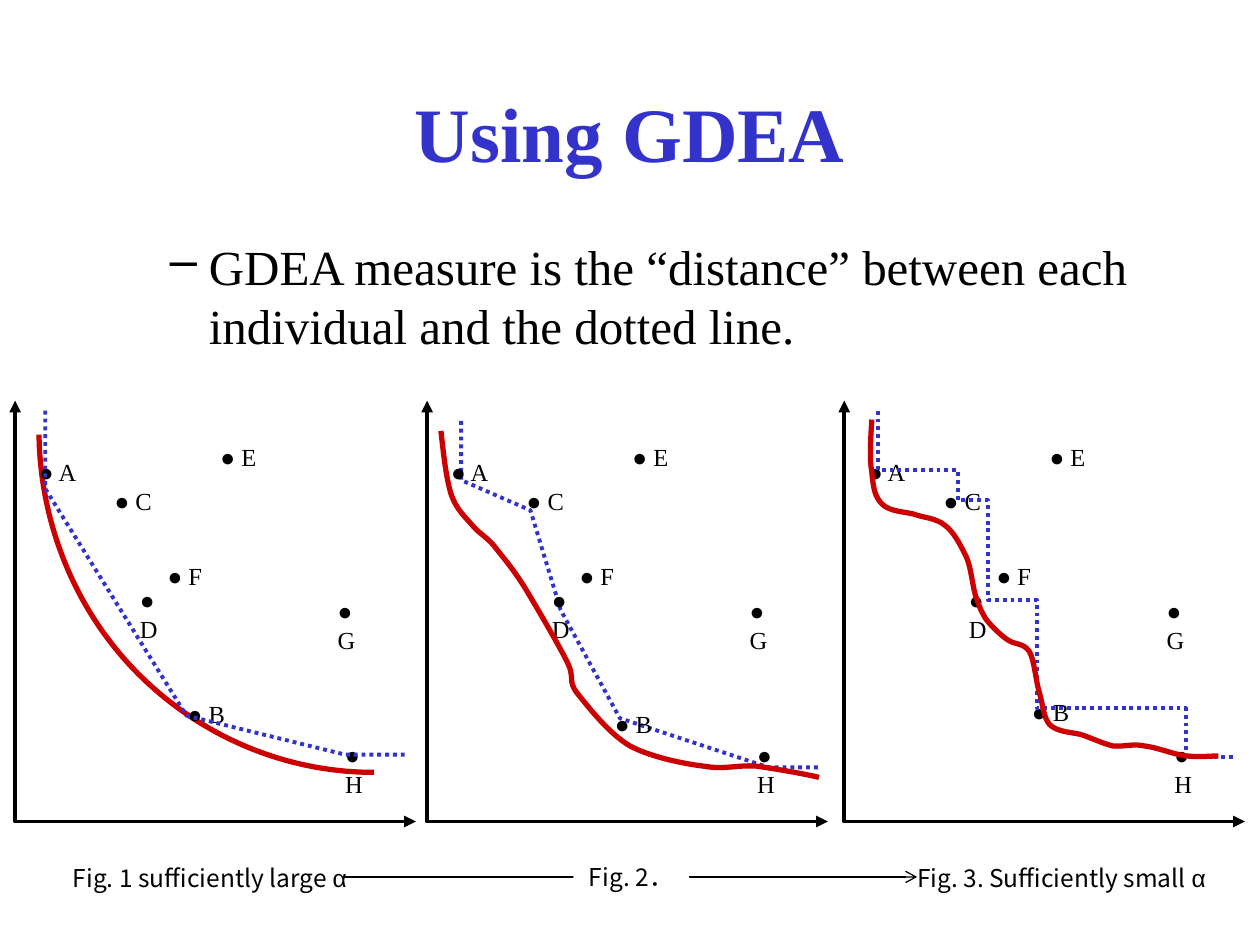
import lxml.etree
import pptx
import pptx.dml.color
import pptx.enum.dml
import pptx.enum.shapes
import pptx.enum.text
import pptx.oxml.ns
import pptx.util

Inches, Pt = pptx.util.Inches, pptx.util.Pt
qn = pptx.oxml.ns.qn
ALIGN = pptx.enum.text.PP_ALIGN
FIT = pptx.enum.text.MSO_AUTO_SIZE
COLORS = {"black": "000000", "blue": "3333CC", "red": "CC0000", "white": "FFFFFF"}
SERIF, SANS, GREEK = "Times New Roman", "Noto Sans CJK JP", "Arial"

TITLE = "Using GDEA"
STATEMENT = "GDEA measure is the “distance” between each individual and the dotted line."
AXIS_TOP, AXIS_HEIGHT, AXIS_WIDTH = 3.18, 3.34, 3.18
POINTS = {"C": (0.79, 0.68), "A": (0.19, 0.45), "E": (1.63, 0.33), "F": (1.21, 1.27),
          "G": (2.56, 1.55), "D": (0.99, 1.46), "H": (2.62, 2.69)}
FIGURES = [
    {"left": 0.12, "B": (1.37, 2.37),
     "layers": ("curve", "axes", "points", "frontier"),
     "frontier": [(0.36, 3.26), (0.36, 3.88), (1.48, 5.68), (2.74, 5.99), (3.23, 5.99)],
     "curve": [(2.97, 6.13), (2.27, 6.13), (1.6, 5.85), (1.1, 5.35),
               (0.6, 4.85), (0.32, 4.16), (0.31, 3.45)]},
    {"left": 3.39, "B": (1.49, 2.45),
     "layers": ("axes", "frontier", "points", "curve"),
     "frontier": [(3.66, 3.34), (3.66, 3.81), (4.21, 4.05), (4.45, 4.84),
                  (4.92, 5.7), (6.1, 6.09), (6.5, 6.09)],
     "curve": [(3.5, 3.42), (3.52, 3.6), (3.54, 3.79), (3.58, 3.92),
               (3.62, 4.04), (3.69, 4.1), (3.75, 4.17), (3.81, 4.24), (3.85, 4.25), (3.92, 4.33),
               (3.99, 4.42), (4.07, 4.51), (4.17, 4.67), (4.26, 4.82), (4.43, 5.11), (4.5, 5.25),
               (4.57, 5.39), (4.5, 5.39), (4.58, 5.5), (4.67, 5.61), (4.83, 5.82), (5, 5.92),
               (5.17, 6.01), (5.42, 6.06), (5.58, 6.08), (5.75, 6.11), (5.85, 6.07), (6, 6.08),
               (6.15, 6.1), (6.43, 6.15), (6.5, 6.17)]},
    {"left": 6.7, "B": (1.49, 2.35),
     "layers": ("axes", "points", "frontier", "curve"),
     "frontier": [(6.97, 3.26), (6.97, 3.73), (7.6, 3.73), (7.6, 3.97), (7.84, 3.97), (7.84, 4.76),
                  (8.23, 4.76), (8.23, 5.62), (9.41, 5.62), (9.41, 6.01), (9.8, 6.01)],
     "curve": [(6.92, 3.33), (6.91, 3.49), (6.9, 3.64), (6.92, 3.75),
               (6.93, 3.86), (6.94, 3.94), (7, 4), (7.06, 4.06), (7.17, 4.06), (7.25, 4.08),
               (7.33, 4.11), (7.43, 4.11), (7.5, 4.17), (7.57, 4.22), (7.62, 4.32), (7.67, 4.42),
               (7.71, 4.51), (7.72, 4.67), (7.75, 4.75), (7.78, 4.83), (7.79, 4.86), (7.83, 4.92),
               (7.87, 4.97), (7.94, 5.04), (8, 5.08), (8.06, 5.12), (8.12, 5.1), (8.17, 5.17),
               (8.21, 5.24), (8.22, 5.4), (8.25, 5.5), (8.28, 5.6), (8.28, 5.69), (8.33, 5.75),
               (8.39, 5.81), (8.5, 5.81), (8.58, 5.83), (8.67, 5.86), (8.75, 5.9), (8.83, 5.92),
               (8.92, 5.93), (8.99, 5.9), (9.08, 5.92), (9.18, 5.93), (9.32, 5.99), (9.42, 6),
               (9.51, 6.01), (9.62, 6), (9.67, 6)]},
]
CAPTIONS = [
    ((0.48, 6.8, 2.42, 0.34), [("Fig. 1 sufficiently large ", SANS), ("α", GREEK)], ALIGN.LEFT),
    ((4.55, 6.79, 0.92, 0.34), [("Fig. 2．", SANS)], ALIGN.CENTER),
    ((7.18, 6.8, 2.5, 0.34), [("Fig. 3. Sufficiently small ", SANS), ("α", GREEK)], ALIGN.LEFT),
]


def rgb(name):
    return pptx.dml.color.RGBColor.from_string(COLORS[name])


def set_values(target, **values):
    for name, value in values.items():
        setattr(target, name, value)


def write(shape, runs, size, color="black", bold=False, align=ALIGN.LEFT):
    paragraph = shape.text_frame.paragraphs[0]
    paragraph.alignment = align
    for text, font_name in runs:
        run = paragraph.add_run()
        run.text = text
        set_values(run.font, name=font_name, size=Pt(size), bold=bold)
        run.font.color.rgb = rgb(color)
        if font_name == SANS:
            east_asian = lxml.etree.SubElement(run.font._element, qn("a:ea"))
            east_asian.set("typeface", font_name)
    return paragraph


def add_text(slide, box, runs, size, margins=(0, 0), wrap=False, fit=FIT.SHAPE_TO_FIT_TEXT, **style):
    shape = slide.shapes.add_textbox(*map(Inches, box))
    across, down = map(Inches, margins)
    set_values(shape.text_frame, margin_left=across, margin_right=across, margin_top=down,
               margin_bottom=down, word_wrap=wrap, auto_size=fit)
    return shape, write(shape, runs, size, **style)


def style_line(shape, color, width, dash=None, ends=()):
    shape.line.color.rgb = rgb(color)
    shape.line.width = Pt(width)
    if dash:
        shape.line.dash_style = dash
    for tag, kind in ends:
        end = lxml.etree.SubElement(shape.line._ln, qn(tag))
        end.set("type", kind)


def add_outline(slide, points, color, width, curved=False, **style):
    vertices = [(Inches(x), Inches(y)) for x, y in points]
    builder = slide.shapes.build_freeform(*vertices[0])
    builder.add_line_segments(vertices[1:], close=False)
    shape = builder.convert_to_shape()
    shape.fill.background()
    shape.shadow.inherit = False
    style_line(shape, color, width, **style)
    if curved:
        path = shape.element.find(".//" + qn("a:path"))
        segments = path.findall(qn("a:lnTo"))
        for start in range(0, len(segments), 3):
            cubic = lxml.etree.SubElement(path, qn("a:cubicBezTo"))
            for segment in segments[start:start + 3]:
                cubic.append(segment[0])
                path.remove(segment)


def add_layer(slide, figure, layer):
    left, bottom = figure["left"], AXIS_TOP + AXIS_HEIGHT
    if layer == "axes":
        corners = [(left, AXIS_TOP), (left, bottom), (left + AXIS_WIDTH, bottom)]
        add_outline(slide, corners, "black", 2.25,
                    ends=[("a:headEnd", "triangle"), ("a:tailEnd", "triangle")])
    elif layer == "points":
        for label, (x, y) in {**POINTS, "B": figure["B"]}.items():
            add_text(slide, (left + x, AXIS_TOP + y, 0.3, 0.23), [("● " + label, SERIF)], 14)
    elif layer == "frontier":
        add_outline(slide, figure["frontier"], "blue", 2.25, dash=pptx.enum.dml.MSO_LINE.ROUND_DOT)
    else:
        add_outline(slide, figure["curve"], "red", 3, curved=True)


def add_statement(slide):
    shape, paragraph = add_text(slide, (0.75, 1.83, 8.5, 1.1), [(STATEMENT, SERIF)], 28,
                                margins=(0.1, 0.05), wrap=True, fit=FIT.NONE)
    paragraph.line_spacing = Pt(33.7)
    properties = paragraph._p.get_or_add_pPr()
    properties.set("marL", str(Inches(0.81)))
    properties.set("indent", str(Inches(-0.31)))
    bullet = lxml.etree.SubElement(properties, qn("a:buChar"))
    bullet.set("char", "–")


def add_captions(slide):
    arrow = slide.shapes.add_connector(pptx.enum.shapes.MSO_CONNECTOR.STRAIGHT,
                                       *map(Inches, (2.72, 6.96, 7.28, 6.96)))
    style_line(arrow, "black", 0.75, ends=[("a:tailEnd", "arrow")])
    lxml.etree.SubElement(arrow.element.spPr, qn("a:effectLst"))
    for box, runs, align in CAPTIONS:
        shape, paragraph = add_text(slide, box, runs, 14, margins=(0.1, 0.05), align=align)
        if align == ALIGN.CENTER:
            shape.fill.solid()
            shape.fill.fore_color.rgb = rgb("white")


def main():
    presentation = pptx.Presentation()
    set_values(presentation, slide_width=Inches(10), slide_height=Inches(7.5))
    slide = presentation.slides.add_slide(presentation.slide_layouts[5])
    title = slide.shapes.title
    set_values(title, left=Inches(0.75), top=Inches(0.42), width=Inches(8.5), height=Inches(1.25))
    set_values(title.text_frame, vertical_anchor=pptx.enum.text.MSO_ANCHOR.MIDDLE, auto_size=FIT.NONE)
    write(title, [(TITLE, SERIF)], 44, color="blue", bold=True, align=ALIGN.CENTER)
    add_statement(slide)
    for figure in FIGURES:
        for layer in figure["layers"]:
            add_layer(slide, figure, layer)
    add_captions(slide)
    presentation.save("out.pptx")


if __name__ == "__main__":
    main()
